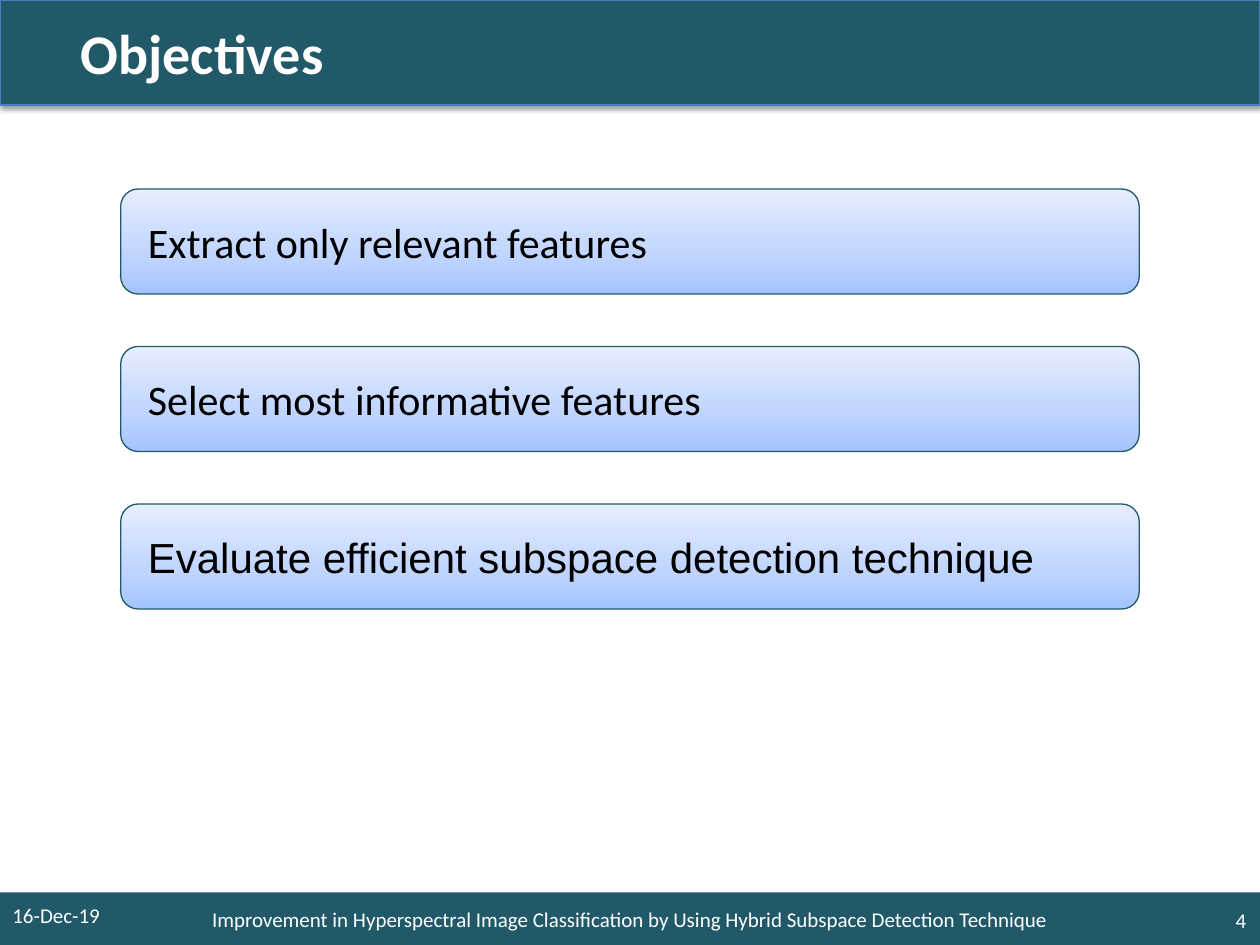
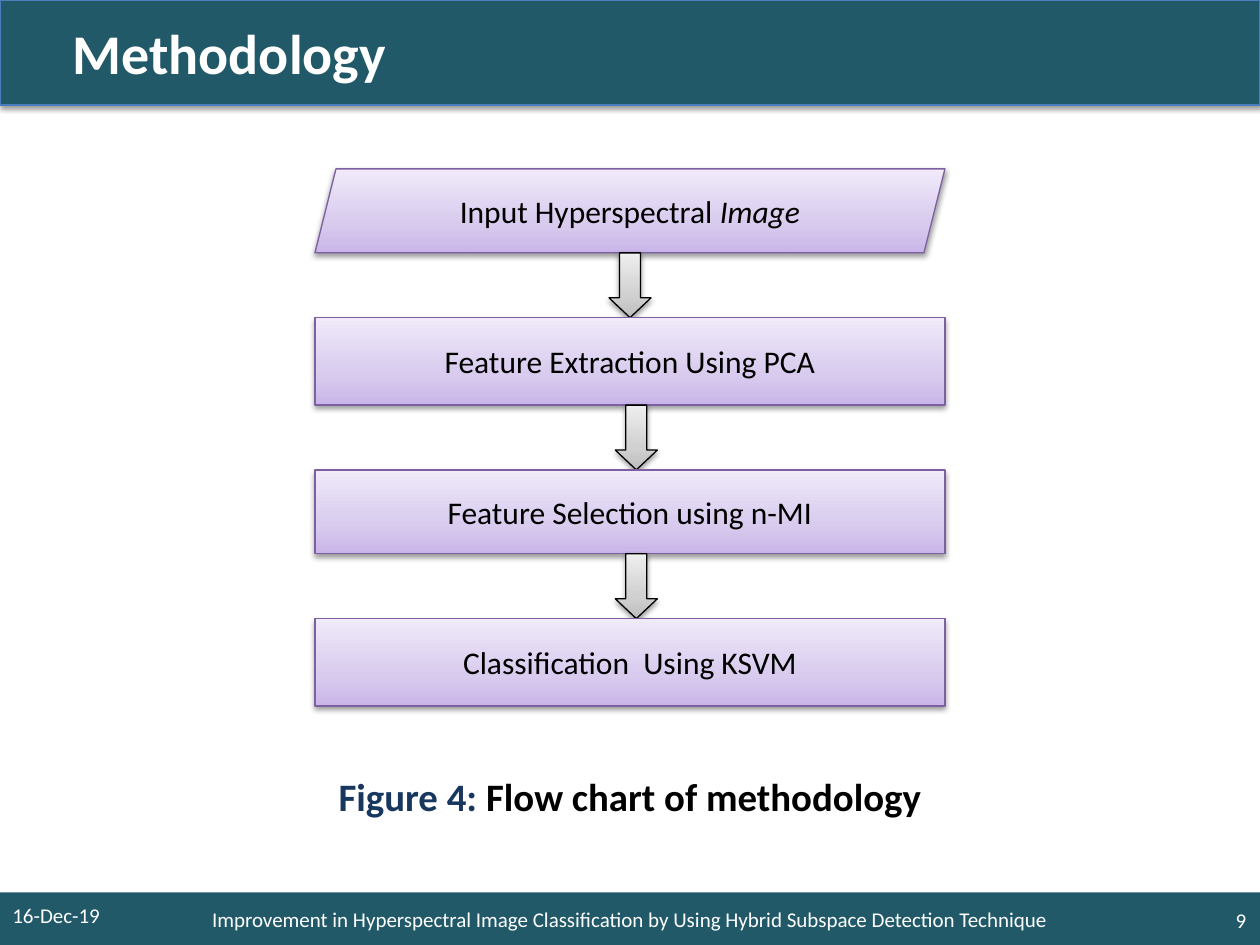
from copy import deepcopy
from dataclasses import dataclass

from lxml import etree
from pptx import Presentation
from pptx.dml.color import RGBColor
from pptx.enum.shapes import MSO_SHAPE
from pptx.enum.text import MSO_ANCHOR, PP_ALIGN
from pptx.oxml.ns import qn
from pptx.util import Pt

RECT = MSO_SHAPE.RECTANGLE
ROUNDED = MSO_SHAPE.ROUNDED_RECTANGLE
PARALLELOGRAM = MSO_SHAPE.PARALLELOGRAM
DOWN_ARROW = MSO_SHAPE.DOWN_ARROW
LEFT, CENTER, RIGHT = PP_ALIGN.LEFT, PP_ALIGN.CENTER, PP_ALIGN.RIGHT
TOP, MIDDLE = MSO_ANCHOR.TOP, MSO_ANCHOR.MIDDLE

# Shared look
W, H = 720, 540
FONT = "Calibri"
TEAL, WHITE, BLACK, NAVY = "215968", "FFFFFF", "000000", "17375E"
TITLE_EDGE, PURPLE_EDGE = "4B7EBC", "7D60A0"
BLUES = ("A4C4FF", "BFD4FF", "E6EEFF")
PURPLES = ("C9B5E8", "D8CBEE", "F0EAF9")
GREYS = ("BDBDBD", "D1D1D1", "EEEEEE")
STOPS = (0, 0.35, 1)
DATE = "16-Dec-19"
FOOTER = ("Improvement in Hyperspectral Image Classification "
          "by Using Hybrid Subspace Detection Technique")


@dataclass
class Box:
    x: float
    y: float
    w: float
    h: float

    def lengths(self) -> tuple:
        return Pt(self.x), Pt(self.y), Pt(self.w), Pt(self.h)


@dataclass
class Piece:
    """A run of text that may differ from its paragraph."""
    text: str
    italic: bool = False
    color: str = ""


@dataclass
class TextStyle:
    size: float
    color: str = BLACK
    bold: bool = False
    align: int = CENTER
    anchor: int = MIDDLE
    font: str = FONT
    indent: float = 7.2


@dataclass
class Step:
    label: list
    height: float
    kind: int = RECT
    arrow_x: float = 351.6


FOOTER_STYLE = TextStyle(12, WHITE)
DATE_STYLE = TextStyle(12, WHITE, align=LEFT)
NUMBER_STYLE = TextStyle(12, WHITE, align=RIGHT)
STEP_STYLE = TextStyle(18)
CAPTION_STYLE = TextStyle(22.2, bold=True, anchor=TOP)


def rgb(color: str) -> RGBColor:
    return RGBColor.from_string(color)


def add_shadow(s) -> None:
    effects = s._element.spPr.find(qn("a:effectLst"))
    shadow = etree.SubElement(effects, qn("a:outerShdw"), blurRad=str(Pt(3.1)),
                              dist=str(Pt(1.6)), dir="5400000", rotWithShape="0")
    color = etree.SubElement(shadow, qn("a:srgbClr"), val=BLACK)
    etree.SubElement(color, qn("a:alpha"), val="38000")


def fill_gradient(s, colors: tuple) -> None:
    """Fill from the bottom up with three colours."""
    s.fill.gradient()
    s.fill.gradient_angle = 90
    first = s._element.spPr.find(".//" + qn("a:gs"))
    first.addnext(deepcopy(first))
    for stop, color, position in zip(s.fill.gradient_stops, colors, STOPS):
        stop.color.rgb = rgb(color)
        stop.position = position


def add_box(slide, kind: int, box: Box, fill, edge: str = "", shadow: bool = False):
    s = slide.shapes.add_shape(kind, *box.lengths())
    s.shadow.inherit = False
    if isinstance(fill, tuple):
        fill_gradient(s, fill)
    else:
        s.fill.solid()
        s.fill.fore_color.rgb = rgb(fill)
    if edge:
        s.line.color.rgb = rgb(edge)
        s.line.width = Pt(0.75)
    else:
        s.line.fill.background()
    if shadow:
        add_shadow(s)
    return s


def write(s, pieces: list, style: TextStyle) -> None:
    tf = s.text_frame
    tf.word_wrap = True
    tf.vertical_anchor = style.anchor
    tf.margin_left = Pt(style.indent)
    p = tf.paragraphs[0]
    p.alignment = style.align
    p.font.name = style.font
    p.font.size = Pt(style.size)
    p.font.bold = style.bold
    p.font.color.rgb = rgb(style.color)
    for piece in pieces:
        r = p.add_run()
        r.text = piece.text
        if piece.italic:
            r.font.italic = True
        if piece.color:
            r.font.color.rgb = rgb(piece.color)


def add_text(slide, box: Box, pieces: list, style: TextStyle) -> None:
    write(slide.shapes.add_textbox(*box.lengths()), pieces, style)


def add_base(prs, title: str, indent: float, number: int):
    """Blank slide with title band, footer band, date and number."""
    slide = prs.slides.add_slide(prs.slide_layouts[6])
    band = add_box(slide, RECT, Box(0, 0, W, 60), TEAL, TITLE_EDGE, shadow=True)
    write(band, [Piece(title)], TextStyle(32, WHITE, True, LEFT, indent=indent))
    footer = add_box(slide, RECT, Box(0, 510, W, 30), TEAL)
    write(footer, [Piece(FOOTER)], FOOTER_STYLE)
    add_text(slide, Box(0, 508.3, 84.2, 28.8), [Piece(DATE)], DATE_STYLE)
    add_text(slide, Box(689, 511.2, 30.2, 28.8), [Piece(str(number))], NUMBER_STYLE)
    return slide


def build_objectives(prs) -> None:
    slide = add_base(prs, "Objectives", 46, 4)
    objectives = [
        ("Extract only relevant features", FONT),
        ("Select most informative features", FONT),
        ("Evaluate efficient subspace detection technique", "Arial"),
    ]
    for i, (text, font) in enumerate(objectives):
        card = add_box(slide, ROUNDED, Box(69, 108 + 90 * i, 582, 60), BLUES, TEAL)
        write(card, [Piece(text)], TextStyle(24, align=LEFT, font=font, indent=12.6))


def build_methodology(prs) -> None:
    slide = add_base(prs, "Methodology", 41.5, 9)
    steps = [
        Step([Piece("Input Hyperspectral "), Piece("Image", italic=True)], 48,
             PARALLELOGRAM, 348),
        Step([Piece("Feature Extraction Using PCA")], 50),
        Step([Piece("Feature Selection using n-MI")], 48),
        Step([Piece("Classification  Using KSVM")], 50),
    ]
    # Steps from top to bottom, an arrow filling each gap
    y, gap = 96.5, 37
    for i, step in enumerate(steps):
        s = add_box(slide, step.kind, Box(180, y, 360, step.height), PURPLES,
                    PURPLE_EDGE, shadow=True)
        write(s, step.label, STEP_STYLE)
        y += step.height
        if i < len(steps) - 1:
            arrow = add_box(slide, DOWN_ARROW, Box(step.arrow_x, y, 24, gap), GREYS,
                            BLACK, shadow=True)
            arrow.adjustments[1] = 0.47
            y += gap
    add_text(slide, Box(153, 438, 414, 31),
             [Piece("Figure 4: ", color=NAVY), Piece("Flow chart of methodology")],
             CAPTION_STYLE)


def main() -> None:
    prs = Presentation()
    prs.slide_width, prs.slide_height = Pt(W), Pt(H)
    build_objectives(prs)
    build_methodology(prs)
    prs.save("out.pptx")


if __name__ == "__main__":
    main()
